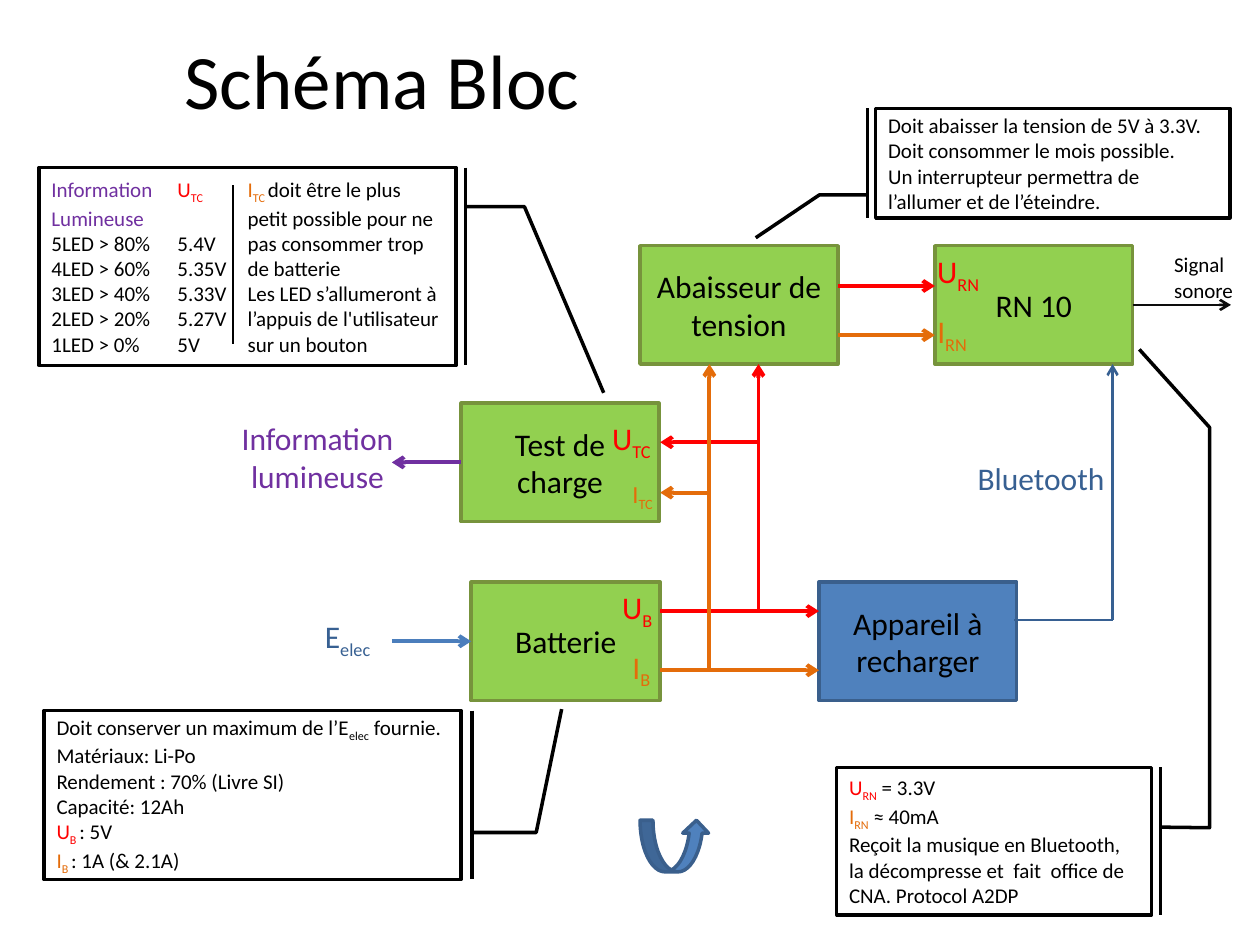
from pptx import Presentation, util as u
from pptx.dml.color import RGBColor
from pptx.enum import shapes, text
from pptx.oxml.ns import qn
from lxml import etree

RED, ORANGE, PURPLE, NAVY, BLACK = "FF0000", "E46C0A", "7030A0", "376092", "000000"
GREEN, GREEN_EDGE, BLUE, BLUE_EDGE = "92D050", "77933C", "4F81BD", "3A5F8C"
KIND = shapes.MSO_SHAPE
BENT_2 = KIND.LINE_CALLOUT_2_BORDER_AND_ACCENT_BAR
BENT_3 = KIND.LINE_CALLOUT_3_BORDER_AND_ACCENT_BAR

# Grid of the diagram, in inches
ROW_TOP, ROW_TEST, ROW_BASE = 1.95, 3.2, 4.62
BLOCK_W, BLOCK_H = 1.57, 0.94
COL_TEST, COL_STEP, COL_DEVICE, COL_RN = 3.66, 5.08, 6.5, 7.42
BUS_X, BUS_I_X, BUS_U_Y, BUS_I_Y = 5.24, 5.63, 4.85, 5.32
BUS_U_X, OUT_X, RADIO_X, RADIO_Y = 6.02, 3.11, 8.83, 4.92
STEP_RIGHT, TOP_BOTTOM = COL_STEP + BLOCK_W, ROW_TOP + BLOCK_H

# name: left, top, width, fill, edge
BLOCKS = {
    "Batterie": (3.74, ROW_BASE, 1.5, GREEN, GREEN_EDGE),
    "Test de charge": (COL_TEST, ROW_TEST, BLOCK_W, GREEN, GREEN_EDGE),
    "Appareil à recharger": (COL_DEVICE, ROW_BASE, BLOCK_W, BLUE, BLUE_EDGE),
    "RN 10": (COL_RN, ROW_TOP, BLOCK_W, GREEN, GREEN_EDGE),
    "Abaisseur de tension": (COL_STEP, ROW_TOP, BLOCK_W, GREEN, GREEN_EDGE),
}

# start, end, colour, width, arrowhead; a block's side is (name, side)
LINES = [
    ((BUS_X, BUS_U_Y), (COL_DEVICE, BUS_U_Y), RED, 2.25, True),
    ((BUS_X, BUS_I_Y), (COL_DEVICE, BUS_I_Y), ORANGE, 2.25, True),
    ((BUS_U_X, 3.51), (BUS_X, 3.51), RED, 2.25, True),
    ((BUS_I_X, 3.91), (BUS_X, 3.91), ORANGE, 2.25, True),
    ((OUT_X, 5.09), ("Batterie", 1), "4B7EBC", 2.25, True),
    (("Test de charge", 1), (OUT_X, 3.67), PURPLE, 2.25, True),
    ((BUS_U_X, BUS_U_Y), (BUS_U_X, TOP_BOTTOM), RED, 2.25, True),
    ((BUS_I_X, BUS_I_Y), (BUS_I_X, TOP_BOTTOM), ORANGE, 2.25, True),
    ((STEP_RIGHT, 2.27), (COL_RN, 2.27), RED, 2.25, True),
    ((STEP_RIGHT, 2.66), (COL_RN, 2.66), ORANGE, 2.25, True),
    ((8.05, RADIO_Y), (RADIO_X, RADIO_Y), NAVY, 1.5, False),
    ((RADIO_X, RADIO_Y), (RADIO_X, TOP_BOTTOM), NAVY, 1.5, True),
    (("RN 10", 3), (9.77, 2.42), "0D0D0D", 1.5, True),
    ((1.85, 1.47), (1.85, 2.73), BLACK, 1, False),
]

# A paragraph is a list of (words, colour) runs; a leading "_" makes a subscript
# place, size, centred, paragraphs
LABELS = [
    ((2.48, 4.85, 0.63, 0.4), 18, False, [[("E", NAVY), ("_elec", NAVY)]]),
    ((4.76, 3.28, 0.55, 0.4), 18, False, [[("U", RED), ("_TC", RED)]]),
    ((4.92, 3.75, 0.39, 0.34), 14, False, [[("I", ORANGE), ("_TC", ORANGE)]]),
    ((4.84, 4.62, 0.47, 0.4), 18, False, [[("U", RED), ("_B", RED)]]),
    ((4.92, 5.09, 0.39, 0.4), 18, False, [[("I", ORANGE), ("_B", ORANGE)]]),
    ((7.34, 1.95, 0.63, 0.4), 18, False, [[("U", RED), ("_RN", RED)]]),
    ((7.34, 2.43, 0.55, 0.4), 18, False, [[("I", ORANGE), ("_RN", ORANGE)]]),
    ((1.77, 3.28, 1.5, 0.71), 18, True,
     [[("Information", PURPLE)], [("lumineuse", PURPLE)]]),
    ((9.22, 1.95, 0.78, 0.5), 12, False, [[("Signal sonore", BLACK)]]),
    ((7.66, 3.59, 1.25, 0.4), 18, False, [[("Bluetooth", NAVY)]]),
]


def plain(*lines):
    return [[(line, BLACK)] for line in lines]


# kind, place, bends of the leader, text columns, paragraphs
CALLOUTS = [
    (BENT_2, (0.31, 1.33, 3.31, 1.57), (0.198, 1.023, 0.198, 1.164, 1.139, 1.354), 2,
     [[("Information\t", PURPLE), ("U", RED), ("_TC", RED)], [("Lumineuse", PURPLE)]]
     + plain("5LED > 80%\t5.4V", "4LED > 60%\t5.35V", "3LED > 40%\t5.33V",
             "2LED > 20%\t5.27V", "1LED > 0%\t5V")
     + [[("I", ORANGE), ("_TC ", ORANGE),
         ("doit être le plus petit possible pour ne pas consommer trop de batterie", BLACK)]]
     + plain("Les LED s’allumeront à l’appuis de l'utilisateur sur un bouton")),
    (BENT_2, (0.35, 5.64, 3.31, 1.34), (0.722, 1.026, 0.722, 1.18, -0.009, 1.241), 1,
     [[("Doit conserver un maximum de l’E", BLACK), ("_elec", BLACK), (" fournie.", BLACK)]]
     + plain("Matériaux: Li-Po", "Rendement : 70% (Livre SI)", "Capacité: 12Ah")
     + [[("U", RED), ("_B ", RED), (": 5V", BLACK)],
        [("I", ORANGE), ("_B ", ORANGE), (": 1A (& 2.1A)", BLACK)]]),
    (BENT_3, (6.64, 6.09, 2.5, 1.17),
     (0.406, 1.028, 0.41, 1.184, -2.306, 1.184, -2.835, 0.961), 1,
     [[("U", RED), ("_RN", RED), (" = 3.3V", BLACK)],
      [("I", ORANGE), ("_RN", ORANGE), (" ≈ 40mA", BLACK)]]
     + plain("Reçoit la musique en Bluetooth, la décompresse et  fait  office de "
             "CNA. Protocol A2DP")),
    (BENT_2, (6.95, 0.86, 2.81, 0.87), (0.79, -0.023, 0.79, -0.159, 1.181, -0.339), 1,
     plain("Doit abaisser la tension de 5V à 3.3V.", "Doit consommer le mois possible.",
           "Un interrupteur permettra de l’allumer et de l’éteindre.")),
]


def color(value):
    return RGBColor.from_string(value)


def inches(values):
    return [u.Inches(value) for value in values]


def write(shape, paragraphs, size, centred=False, middle=True):
    frame = shape.text_frame
    frame.word_wrap = True
    frame.vertical_anchor = text.MSO_ANCHOR.MIDDLE if middle else text.MSO_ANCHOR.TOP
    for index, runs in enumerate(paragraphs):
        para = frame.add_paragraph() if index else frame.paragraphs[0]
        para.alignment = text.PP_ALIGN.CENTER if centred else text.PP_ALIGN.LEFT
        for words, ink in runs:
            span = para.add_run()
            span.text = words.removeprefix("_")
            span.font.name, span.font.size = "Calibri", u.Pt(size)
            span.font.color.rgb = color(ink)
            if words.startswith("_"):
                span.font._element.set("baseline", "-25000")


def add_shape(page, kind, place, fill, edge):
    shape = page.shapes.add_shape(kind, *inches(place))
    shape.shadow.inherit = False
    if fill:
        shape.fill.solid()
        shape.fill.fore_color.rgb = color(fill)
    else:
        shape.fill.background()
    shape.line.color.rgb, shape.line.width = color(edge), u.Pt(2)
    return shape


def add_line(page, blocks, start, end, ink, width, arrow):
    joined = [isinstance(point[0], str) for point in (start, end)]
    points = [(0, 0) if join else point for join, point in zip(joined, (start, end))]
    line = page.shapes.add_connector(
        shapes.MSO_CONNECTOR.STRAIGHT, *inches(points[0] + points[1]))
    if joined[0]:
        line.begin_connect(blocks[start[0]], start[1])
    if joined[1]:
        line.end_connect(blocks[end[0]], end[1])
    line.line.color.rgb, line.line.width = color(ink), u.Pt(width)
    if arrow:
        etree.SubElement(line.line._get_or_add_ln(), qn("a:tailEnd"), type="arrow")
    etree.SubElement(line._element.spPr, qn("a:effectLst"))


def main():
    deck = Presentation()
    deck.slide_width, deck.slide_height = inches((10, 7.5))
    page = deck.slides.add_slide(deck.slide_layouts[6])

    # Title
    title = page.shapes.add_textbox(*inches((-0.43, 0, 6.93, 1.25)))
    write(title, plain("Schéma Bloc"), 44, centred=True)

    # Blocks
    blocks = {}
    for name, (left, top, width, fill, edge) in BLOCKS.items():
        blocks[name] = add_shape(page, KIND.RECTANGLE, (left, top, width, BLOCK_H), fill, edge)
        write(blocks[name], plain(name), 18, centred=True)

    # Callouts
    for kind, place, bends, columns, paragraphs in CALLOUTS:
        callout = add_shape(page, kind, place, None, BLACK)
        for index, bend in enumerate(bends):
            callout.adjustments[index] = bend
        write(callout, paragraphs, 12)
        if columns > 1:
            callout.text_frame._txBody.bodyPr.set("numCol", str(columns))

    # Lines, then the labels above them
    for line in LINES:
        add_line(page, blocks, *line)
    for place, size, centred, paragraphs in LABELS:
        box = page.shapes.add_textbox(*inches(place))
        write(box, paragraphs, size, centred, middle=False)

    # Curved arrow
    add_shape(page, KIND.CURVED_UP_ARROW, (COL_STEP, 6.51, 0.55, 0.41), BLUE, BLUE_EDGE)
    deck.save("out.pptx")


if __name__ == "__main__":
    main()
